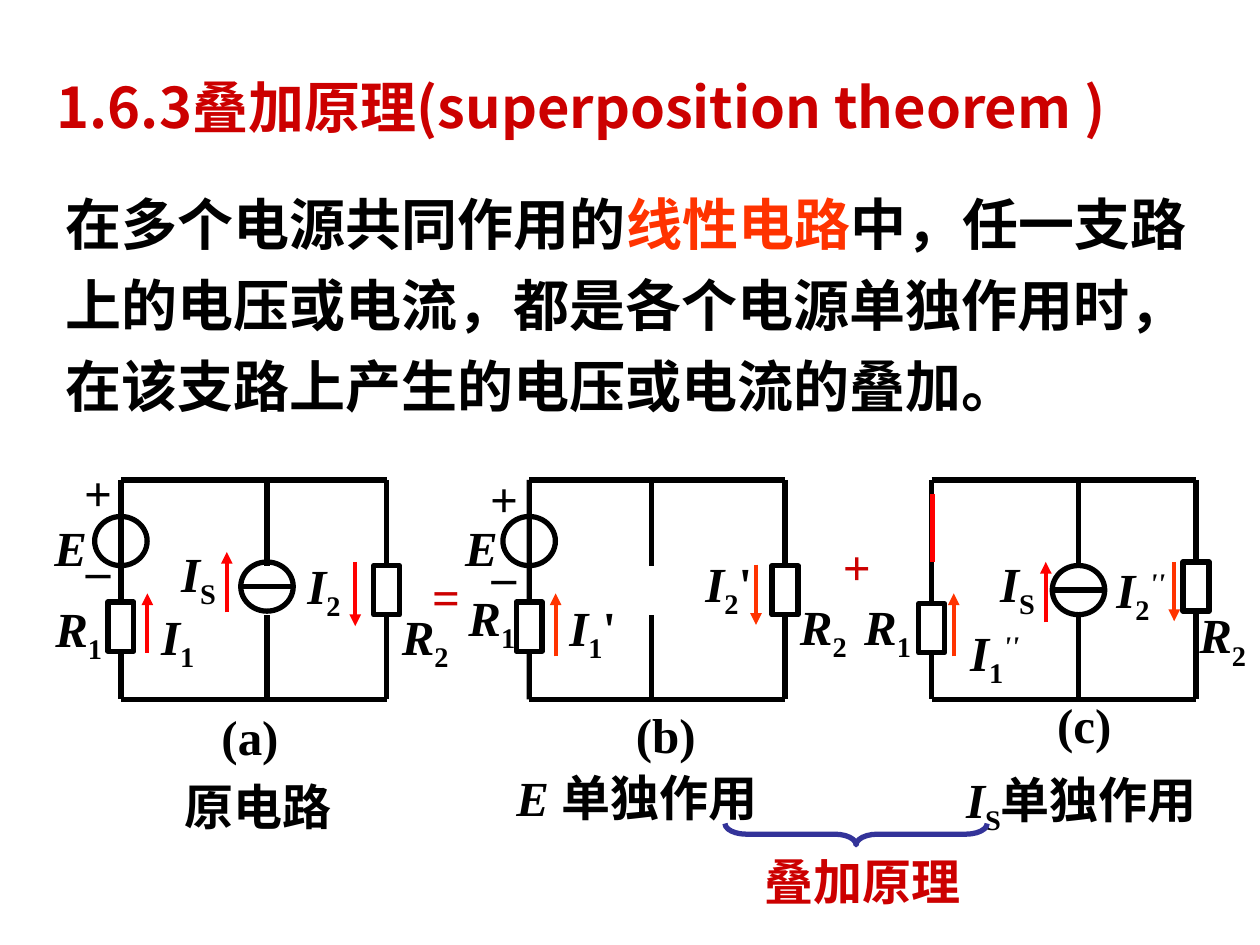
import pptx
import pptx.util
import pptx.dml.color
import pptx.enum.shapes
import pptx.enum.text
import pptx.oxml
import pptx.oxml.ns

Pt = pptx.util.Pt
SHAPE = pptx.enum.shapes.MSO_SHAPE
ALIGN = pptx.enum.text.PP_ALIGN
ANCHOR = pptx.enum.text.MSO_ANCHOR
FIT = pptx.enum.text.MSO_AUTO_SIZE

THEME = {
    "black": "000000", "dark_red": "CC0000", "red": "FF0000",
    "orange": "FF3300", "navy": "333399",
    "latin": "Times New Roman", "cjk": "Noto Sans CJK SC",
    "large": 32, "label": 28, "wire": 3, "arrow": 2.25,
}

TITLE = [("1.6.3叠加原理(superposition theorem )", "dark_red", "")]
BODY = [
    ("在多个电源共同作用的", "black", ""),
    ("线性电路", "orange", ""),
    ("中，任一支路上的电压或电流，都是各个电源单独作用时，"
     "在该支路上产生的电压或电流的叠加。", "black", ""),
]

TOP, BOTTOM = 274.3, 399.6
CIRCUITS = [
    {"left": 69.1, "mid": 152.6, "right": 221, "r1": 344, "r2": 323.3,
     "voltage": True, "current": 335.2},
    {"left": 302.4, "mid": 372.2, "right": 448.6, "r1": 344, "r2": 323.3,
     "voltage": True, "current": None},
    {"left": 532.4, "mid": 616.3, "right": 683.5, "r1": 344.9, "r2": 321.1,
     "voltage": False, "current": 337.2},
]
RES_W, RES_H = 14.8, 28.1
SRC_W, SRC_H = 30, 28.1
GAP_TOP, GAP_BOTTOM = 323.6, 351.6
SLACK = 2

ARROWS = [
    (129.6, 350, 315.4, "red"), (203, 321.1, 357.8, "red"),
    (84.2, 373, 339.1, "red"), (317.5, 375.1, 339.1, "orange"),
    (432, 322.6, 357.1, "orange"), (545, 375.1, 339.1, "orange"),
    (671, 321.1, 355, "orange"), (597.6, 355.7, 321.1, "red"),
]

LABELS = [
    (23.8, 292.3, 33.1, "E", "", ""), (258.5, 292.3, 33.1, "E", "", ""),
    (24.5, 338.4, 41, "R", "1", ""), (222.5, 342.7, 41, "R", "2", ""),
    (260.6, 331.9, 41, "R", "1", ""), (450, 337, 41, "R", "2", ""),
    (486.7, 337, 41, "R", "1", ""), (678.2, 342, 41, "R", "2", ""),
    (96.5, 306.7, 33.8, "I", "S", ""), (85, 342.7, 33.1, "I", "1", ""),
    (168.5, 313.9, 33.1, "I", "2", ""), (564.5, 312.5, 33.8, "I", "S", ""),
    (318.2, 337.7, 41, "I", "1", "'"), (396, 312.5, 41, "I", "2", "'"),
    (547.2, 352.1, 42.5, "I", "1", "''"), (630.7, 316.1, 42.5, "I", "2", "''"),
]
LETTERS = [(119.5, 400.3, 46.8, "(a)"), (356.4, 398.9, 48.2, "(b)"),
           (596.9, 393.1, 45.4, "(c)")]
POLARITY = [(41, 260.6), (272.9, 264.2)]
OPERATORS = [(239.8, 303.1, 57.6, "=", 1.5), (474.5, 303.1, 41, "+", 1)]

prs = pptx.Presentation()
prs.slide_width, prs.slide_height = Pt(720), Pt(540)
s = prs.slides.add_slide(prs.slide_layouts[1])


def rgb(key):
    return pptx.dml.color.RGBColor.from_string(THEME[key])


def add_runs(p, runs, size="label", latin="latin"):
    for text, color, style in runs:
        r = p.add_run()
        r.text = text
        f = r.font
        f.size, f.name, f.bold = Pt(THEME[size]), THEME[latin], True
        f.italic = "i" in style
        f.color.rgb = rgb(color)
        ea = pptx.oxml.parse_xml(
            '<a:ea %s typeface="%s"/>' % (pptx.oxml.ns.nsdecls("a"), THEME["cjk"]))
        rPr = r._r.get_or_add_rPr()
        rPr.append(ea)
        if "_" in style:
            rPr.set("baseline", "-25000")
        elif "^" in style:
            rPr.set("baseline", "30000")


def text_box(x, y, w, h, paragraphs, align=ALIGN.LEFT, anchor=ANCHOR.TOP,
             wrap=False, spacing=1, before=0):
    tf = s.shapes.add_textbox(Pt(x), Pt(y), Pt(w), Pt(h)).text_frame
    tf.word_wrap, tf.auto_size = wrap, FIT.SHAPE_TO_FIT_TEXT
    tf.vertical_anchor = anchor
    for i, runs in enumerate(paragraphs):
        p = tf.add_paragraph() if i else tf.paragraphs[0]
        p.alignment, p.line_spacing = align, spacing
        if i:
            p.space_before = Pt(before)
        add_runs(p, runs)
    return tf


def centred_label(x, y, w, h, runs):
    text_box(x - SLACK, y, w + 2 * SLACK, h, [runs], ALIGN.CENTER, ANCHOR.MIDDLE)


def outline(kind, x, y, w, h, color="black"):
    sp = s.shapes.add_shape(kind, Pt(x), Pt(y), Pt(w), Pt(h))
    sp.shadow.inherit = False
    sp.fill.background()
    sp.line.color.rgb, sp.line.width = rgb(color), Pt(THEME["wire"])
    return sp


def line(x1, y1, x2, y2, color="black", width="wire", arrow=False):
    c = s.shapes.add_connector(pptx.enum.shapes.MSO_CONNECTOR.STRAIGHT,
                               Pt(x1), Pt(y1), Pt(x2), Pt(y2))
    c.line.color.rgb, c.line.width = rgb(color), Pt(THEME[width])
    ns = pptx.oxml.ns.nsdecls("a")
    if arrow:
        c.line._get_or_add_ln().append(
            pptx.oxml.parse_xml('<a:tailEnd %s type="triangle"/>' % ns))
    c._element.spPr.append(pptx.oxml.parse_xml("<a:effectLst %s/>" % ns))
    return c


def resistor_branch(x, y):
    res = outline(SHAPE.RECTANGLE, x - RES_W / 2, y, RES_W, RES_H)
    line(x, TOP, x, y).end_connect(res, 0)
    line(x, y + RES_H, x, BOTTOM).begin_connect(res, 2)


def source(x, y):
    outline(SHAPE.OVAL, x - SRC_W / 2, y - SRC_H / 2, SRC_W, SRC_H)


def circuit(c):
    for y in (TOP, BOTTOM):
        line(c["left"], y, c["right"], y)
    resistor_branch(c["left"], c["r1"])
    resistor_branch(c["right"], c["r2"])
    line(c["mid"], TOP, c["mid"], GAP_TOP)
    line(c["mid"], GAP_BOTTOM, c["mid"], BOTTOM)
    if c["voltage"]:
        source(c["left"], 309.2)
    if c["current"]:
        source(c["mid"], c["current"])
        line(c["mid"] - SRC_W / 2, c["current"], c["mid"] + SRC_W / 2, c["current"])


def placeholder(sp, x, y, w, h, runs, latin, anchor, spacing):
    sp.left, sp.top, sp.width, sp.height = Pt(x), Pt(y), Pt(w), Pt(h)
    tf = sp.text_frame
    tf.word_wrap, tf.auto_size, tf.vertical_anchor = True, FIT.NONE, anchor
    p = tf.paragraphs[0]
    pPr = p._p.get_or_add_pPr()
    pPr.set("marL", "0")
    pPr.set("indent", "0")
    pPr.append(pptx.oxml.parse_xml("<a:buNone %s/>" % pptx.oxml.ns.nsdecls("a")))
    p.alignment, p.line_spacing, p.space_before = ALIGN.LEFT, spacing, Pt(0)
    add_runs(p, runs, "large", latin)


placeholder(s.shapes.title, 25.2, 9.4, 640.8, 102.2, TITLE, "cjk", ANCHOR.MIDDLE, 1)
placeholder(s.placeholders[1], 30.2, 97.2, 666, 145.4, BODY, "latin", ANCHOR.TOP, 1.2)

for c in CIRCUITS:
    circuit(c)
line(532.8, 282.2, 532.8, 321.1, "red")
for x, y1, y2, color in ARROWS:
    line(x, y1, x, y2, color, "arrow", True)

for x, y, w, symbol, sub, prime in LABELS:
    runs = [(symbol, "black", "i")]
    if sub:
        runs.append((sub, "black", "_"))
    if prime:
        runs.append((prime, "black", "i^" if len(prime) > 1 else ""))
    centred_label(x, y, w, 45.4 if sub else 41, runs)
for x, y, w, letter in LETTERS:
    centred_label(x, y, w, 41, [(letter, "black", "")])
for x, y in POLARITY:
    text_box(x, y, 30.2, 85, [[(sign, "black", "")] for sign in "+–"],
             ALIGN.CENTER, ANCHOR.MIDDLE, True, before=10.5)
for x, y, h, sign, spacing in OPERATORS:
    text_box(x, y, 30.2, h, [[(sign, "dark_red", "")]], ALIGN.CENTER, spacing=spacing)

text_box(98.6, 423.4, 97.9 + 2 * SLACK, 57.6, [[("原电路", "black", "")]], spacing=1.5)
text_box(288, 434.9, 193, 47.5,
         [[("E ", "black", "i"), ("单独作用", "black", "")]], wrap=True)
text_box(545, 436.3, 157, 45.4,
         [[("I", "black", "i"), ("S", "black", "_"), ("单独作用", "black", "")]], wrap=True)

brace = outline(SHAPE.RIGHT_BRACE, 483.1, 401.8, 12.2, 149.8, "navy")
brace.rotation = 90
brace.adjustments[0] = 1.0
tf = text_box(403.9, 483.1, 190.1, 41, [[("叠加原理", "dark_red", "")]], wrap=True)
tf.margin_left = Pt(33)

prs.save("out.pptx")
